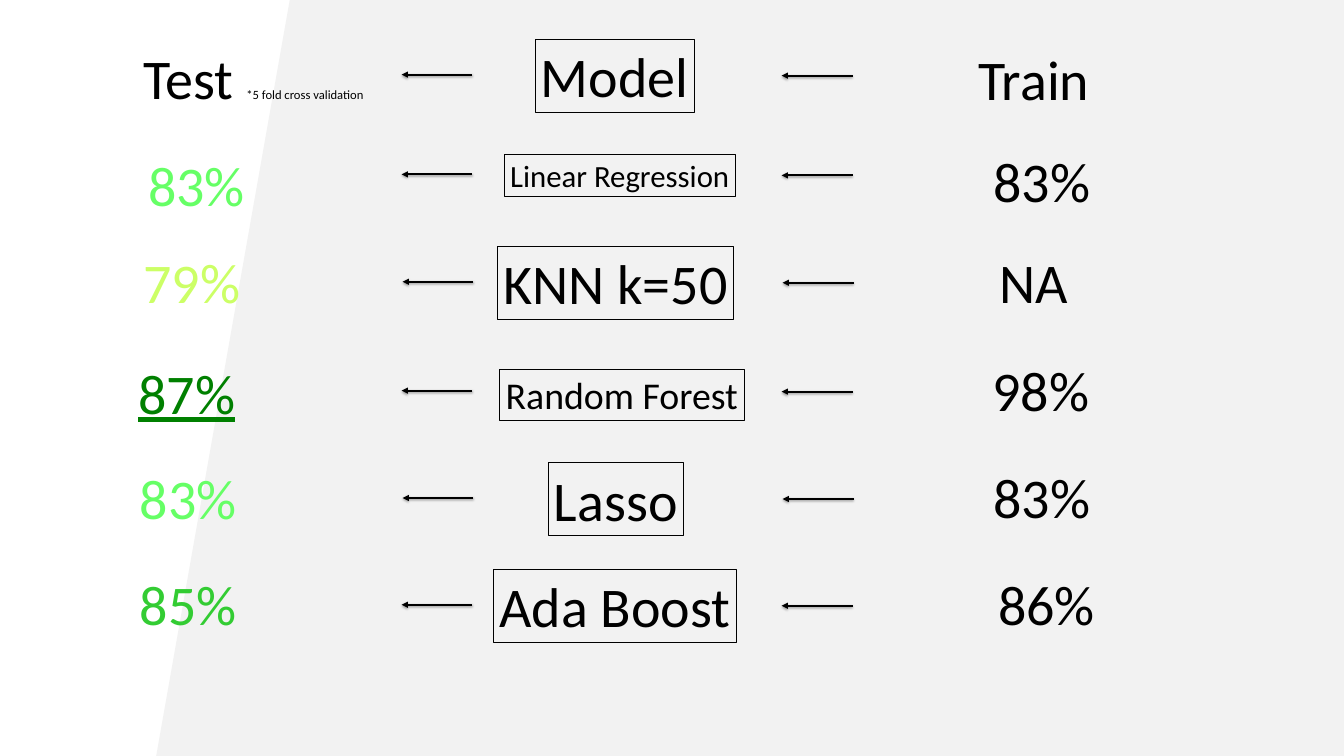
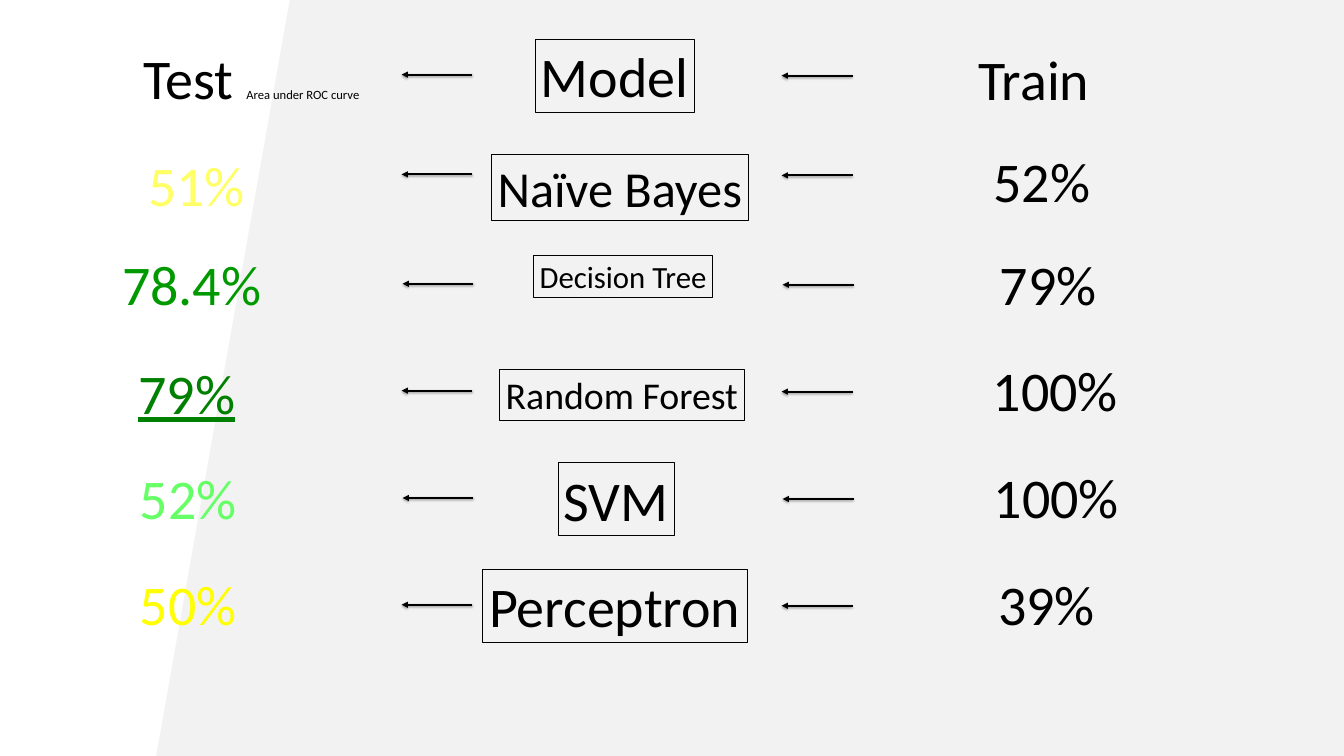
from collections import namedtuple
from dataclasses import dataclass

from lxml import etree
from pptx import Presentation
from pptx.dml.color import RGBColor
from pptx.enum.shapes import MSO_CONNECTOR as Connector, MSO_SHAPE as Preset
from pptx.enum.text import MSO_ANCHOR as Anchor, MSO_AUTO_SIZE as AutoSize, PP_ALIGN as Align
from pptx.oxml import parse_xml
from pptx.oxml.ns import nsdecls, qn
from pptx.util import Inches, Pt


@dataclass(frozen=True)
class Theme:
    font: str = "Calibri"
    black: str = "000000"
    band: str = "F2F2F2"
    best: str = "008000"
    large: int = 80
    note: int = 18
    box_line: float = 0.75
    arrow_line: float = 3


theme = Theme()
Row = namedtuple("Row", "arrow_top arrow_shift test_centre test_top train_left train_top")
Result = namedtuple("Result", "model size box_left box_top box_width test colour train drop")

# Positions shared by both slides
header_arrow_top = 1.5
rows = [
    Row(3.48, 0, 3.91, 2.93, 19.62, 2.85),
    Row(5.61, 0.02, 3.82, 4.86, 19.74, 4.86),
    Row(7.77, 0, 3.72, 7.06, 19.6, 7),
    Row(9.9, 0.02, 3.75, 9.15, 19.62, 9.13),
    Row(12.02, 0, 3.75, 11.26, 19.71, 11.26),
]
value_widths = {"NA": 1.57, "100%": 2.71, "78.4%": 2.99}
two_digit_width = 2.14

# Results, one list for each slide
accuracy = [
    Result("Linear Regression", 44, 10, 3.06, 4.6, "83%", "66FF66", "83%", 0),
    Result("KNN k=50", 80, 9.87, 4.88, 4.69, "79%", "CCFF66", "NA", 0),
    Result("Random Forest", 54, 9.91, 7.33, 4.86, "87%", theme.best, "98%", 0),
    Result("Lasso", 80, 10.88, 9.18, 2.68, "83%", "66FF66", "83%", 0),
    Result("Ada Boost", 80, 9.79, 11.29, 4.83, "85%", "33CC33", "86%", 0),
]
roc_area = [
    Result("Naïve Bayes", 72, 9.75, 3.06, 5.1, "51%", "FFFF66", "52%", 0),
    Result("Decision Tree", 44, 10.59, 5.06, 3.55, "78.4%", "009900", "79%", 0.04),
    Result("Random Forest", 54, 9.91, 7.33, 4.86, "79%", theme.best, "100%", 0),
    Result("SVM", 80, 11.07, 9.18, 2.31, "52%", "66FF66", "100%", 0),
    Result("Perceptron", 80, 9.58, 11.29, 5.24, "50%", "FFFF00", "39%", 0),
]
tables = [("*5 fold cross validation", 4.61, accuracy),
          ("Area under ROC curve", 4.53, roc_area)]


def add_label(slide, text, left, top, width, size=theme.large, colour=theme.black, boxed=False):
    """Add one line of text, with or without a thin frame, and return its paragraph."""
    height = size * 1.22 / 72 + 0.09
    place = [Inches(length) for length in (left, top, width, height)]
    if boxed:
        shape = slide.shapes.add_shape(Preset.RECTANGLE, *place)
        shape.shadow.inherit = False
        shape.fill.background()
        shape.line.color.rgb = RGBColor.from_string(theme.black)
        shape.line.width = Pt(theme.box_line)
    else:
        shape = slide.shapes.add_textbox(*place)
    frame = shape.text_frame
    frame.word_wrap = False
    frame.auto_size = AutoSize.SHAPE_TO_FIT_TEXT
    frame.vertical_anchor = Anchor.TOP
    paragraph = frame.paragraphs[0]
    paragraph.text = text
    paragraph.alignment = Align.CENTER if boxed else Align.LEFT
    paragraph.font.name = theme.font
    paragraph.font.size = Pt(size)
    paragraph.font.color.rgb = RGBColor.from_string(colour)
    return paragraph


def add_arrows(slide, top, shift=0):
    """Point from the train column to the model and from the model to the test column."""
    for start, end, y in ((16.92, 15.51, top), (9.37, 7.97, top - 0.02)):
        arrow = slide.shapes.add_connector(
            Connector.STRAIGHT, Inches(start + shift), Inches(y), Inches(end + shift), Inches(y))
        arrow.line.color.rgb = RGBColor.from_string(theme.black)
        arrow.line.width = Pt(theme.arrow_line)
        etree.SubElement(arrow.line._get_or_add_ln(), qn("a:tailEnd"), type="triangle")
        arrow.element.spPr.append(parse_xml(
            f'<a:effectLst {nsdecls("a")}>'
            '<a:outerShdw blurRad="40000" dist="23000" dir="5400000" rotWithShape="0">'
            f'<a:srgbClr val="{theme.black}"><a:alpha val="35000"/></a:srgbClr>'
            '</a:outerShdw></a:effectLst>'))


presentation = Presentation()
presentation.slide_width = Inches(26.67)
presentation.slide_height = Inches(15)
layout = presentation.slide_layouts[6]
slides = [presentation.slides.add_slide(layout) for table in tables]

# Slanted grey band, moved to the layout so that both slides show it
builder = slides[0].shapes.build_freeform(Inches(5.75), 0)
builder.add_line_segments(
    [(Inches(x), Inches(y)) for x, y in ((26.67, 0), (26.67, 15), (3.1, 15))], close=True)
band = builder.convert_to_shape()
band.shadow.inherit = False
band.fill.solid()
band.fill.fore_color.rgb = RGBColor.from_string(theme.band)
band.line.fill.background()
layout.shapes.element.append(band.element)

for slide, (note, test_width, results) in zip(slides, tables):
    # Column headings
    add_label(slide, "Model", 10.62, 0.78, 3.16, boxed=True)
    add_label(slide, "Train", 19.31, 0.83, 2.43)
    heading = add_label(slide, "Test ", 2.75, 0.82, test_width)
    note_run = heading.add_run()
    note_run.text = note
    note_run.font.size = Pt(theme.note)
    add_arrows(slide, header_arrow_top)

    # One row for each model
    for row, result in zip(rows, results):
        add_label(slide, result.model, result.box_left, result.box_top, result.box_width,
                  result.size, boxed=True)
        add_label(slide, result.train, row.train_left, row.train_top + result.drop,
                  value_widths.get(result.train, two_digit_width))
        width = value_widths.get(result.test, two_digit_width)
        score = add_label(slide, result.test, row.test_centre - width / 2,
                          row.test_top + result.drop, width, colour=result.colour)
        if result.colour == theme.best:
            score.font.underline = True
        add_arrows(slide, row.arrow_top + result.drop, row.arrow_shift)

presentation.save("out.pptx")
